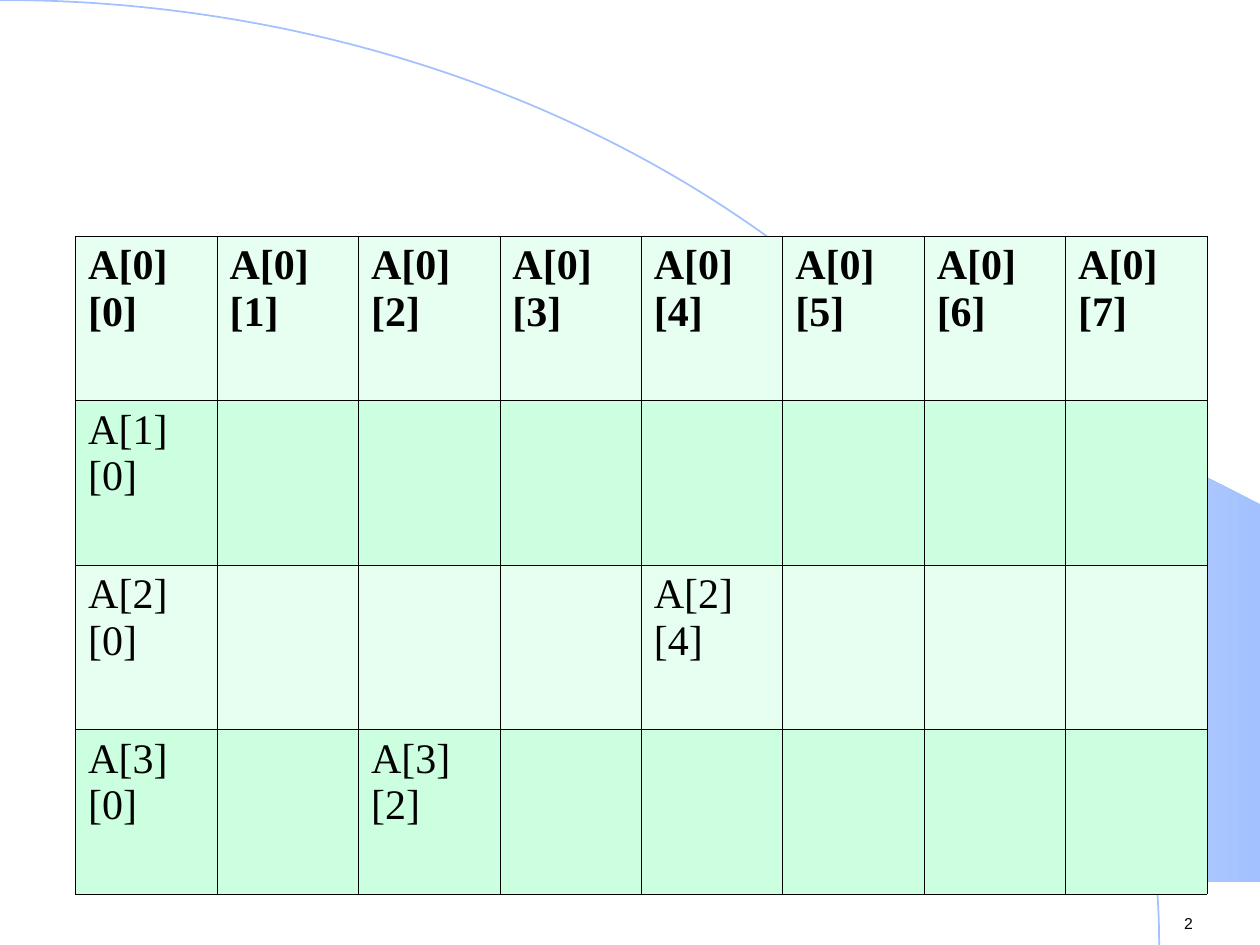
"""Build a slide showing a two-dimensional array as a grid of indexed cells."""
from dataclasses import dataclass
from math import cos, pi, sin

from lxml import etree
from pptx import Presentation
from pptx.dml.color import RGBColor
from pptx.enum.shapes import MSO_SHAPE
from pptx.oxml.ns import qn
from pptx.slide import Slide
from pptx.table import _Cell
from pptx.text.text import TextFrame
from pptx.util import Inches, Pt

ARC = MSO_SHAPE.ARC
SLIDE_WIDTH, SLIDE_HEIGHT = 10, 7.5
ROWS, COLUMNS = 4, 8
COLORS = {
    "arc": "A2C1FE",
    "fade": "FEFEFE",
    "light": "E7FFF0",
    "mint": "CBFFDF",
    "black": "000000",
}


@dataclass(frozen=True)
class Box:
    """A rectangle given as shares of the slide's size."""

    left: float
    top: float
    width: float
    height: float

    def emu(self) -> tuple[int, int, int, int]:
        """Return left, top, width and height as lengths."""
        return (
            Inches(self.left * SLIDE_WIDTH),
            Inches(self.top * SLIDE_HEIGHT),
            Inches(self.width * SLIDE_WIDTH),
            Inches(self.height * SLIDE_HEIGHT),
        )


@dataclass(frozen=True)
class Entry:
    """A labelled element of the array."""

    row: int
    column: int

    def label(self) -> str:
        """Return the element's subscript notation."""
        return f"A[{self.row}][{self.column}]"


ARC_BOX = Box(-0.92, 0, 1.84, 2)
NUMBER_BOX = Box(0.93, 0.96, 0.08, 0.03)
TABLE_BOX = Box(0.06, 0.25, 0.9, 0.7)
ENTRIES = (
    [Entry(0, column) for column in range(COLUMNS)]
    + [Entry(row, 0) for row in range(1, ROWS)]
    + [Entry(2, 4), Entry(3, 2)]
)


def color(name: str) -> RGBColor:
    """Look up a palette colour."""
    return RGBColor.from_string(COLORS[name])


def style_text(frame: TextFrame, font_name: str, size: float, bold: bool = False) -> None:
    """Format the first paragraph's runs."""
    for run in frame.paragraphs[0].runs:
        run.font.name = font_name
        run.font.size = Pt(size)
        run.font.bold = bold
        run.font.color.rgb = color("black")


def draw_wedge(slide: Slide) -> None:
    """Draw the shaded wedge that follows the arc's lower right part."""
    radius_x, radius_y = 9.2, 7.49
    start, steps = 0.88, 24
    angles = [start * pi / 3.18 * (1 - step / steps) for step in range(steps + 1)]
    curve = [
        (radius_x * cos(angle), radius_y * (1 - sin(angle))) for angle in angles
    ]
    builder = slide.shapes.build_freeform(*curve[0], scale=Inches(1))
    builder.add_line_segments(curve[1:] + [(9.99, 7.49), (9.99, 4.23)], close=True)
    wedge = builder.convert_to_shape()
    wedge.shadow.inherit = False
    wedge.line.fill.background()
    wedge.fill.gradient()
    wedge.fill.gradient_angle = 180
    for stop, name in zip(wedge.fill.gradient_stops, ("arc", "fade")):
        stop.color.rgb = color(name)


def draw_arc(slide: Slide) -> None:
    """Draw the thin arc across the slide."""
    arc = slide.shapes.add_shape(ARC, *ARC_BOX.emu())
    arc.shadow.inherit = False
    arc.fill.background()
    arc.line.color.rgb = color("arc")
    arc.line.width = Pt(1)


def draw_slide_number(slide: Slide, number: int) -> None:
    """Draw the slide number in the lower right corner."""
    frame = slide.shapes.add_textbox(*NUMBER_BOX.emu()).text_frame
    frame.word_wrap = False
    frame.text = str(number)
    style_text(frame, "Arial", 9)


def add_borders(cell: _Cell) -> None:
    """Give a cell thin black borders ahead of its fill."""
    properties = cell._tc.get_or_add_tcPr()
    for position, side in enumerate(("lnL", "lnR", "lnT", "lnB")):
        line = etree.Element(qn(f"a:{side}"), w=str(Pt(0.45)))
        fill = etree.SubElement(line, qn("a:solidFill"))
        etree.SubElement(fill, qn("a:srgbClr"), val=COLORS["black"])
        properties.insert(position, line)


def draw_array(slide: Slide) -> None:
    """Draw the array table with alternating row fills."""
    table = slide.shapes.add_table(ROWS, COLUMNS, *TABLE_BOX.emu()).table
    table.first_row = table.horz_banding = False
    for column in table.columns:
        column.width = Inches(8.98 / COLUMNS)
    for row_index, row in enumerate(table.rows):
        row.height = Inches(5.22 / ROWS)
        for cell in row.cells:
            cell.fill.solid()
            cell.fill.fore_color.rgb = color("mint" if row_index % 2 else "light")
            add_borders(cell)
    for entry in ENTRIES:
        frame = table.cell(entry.row, entry.column).text_frame
        frame.text = entry.label()
        style_text(frame, "Times New Roman", 24, bold=entry.row == 0)


def main() -> None:
    """Build and save the presentation."""
    presentation = Presentation()
    presentation.slide_width = Inches(SLIDE_WIDTH)
    presentation.slide_height = Inches(SLIDE_HEIGHT)
    slide = presentation.slides.add_slide(presentation.slide_layouts[6])
    draw_wedge(slide)
    draw_arc(slide)
    draw_slide_number(slide, 2)
    draw_array(slide)
    presentation.save("out.pptx")


if __name__ == "__main__":
    main()
